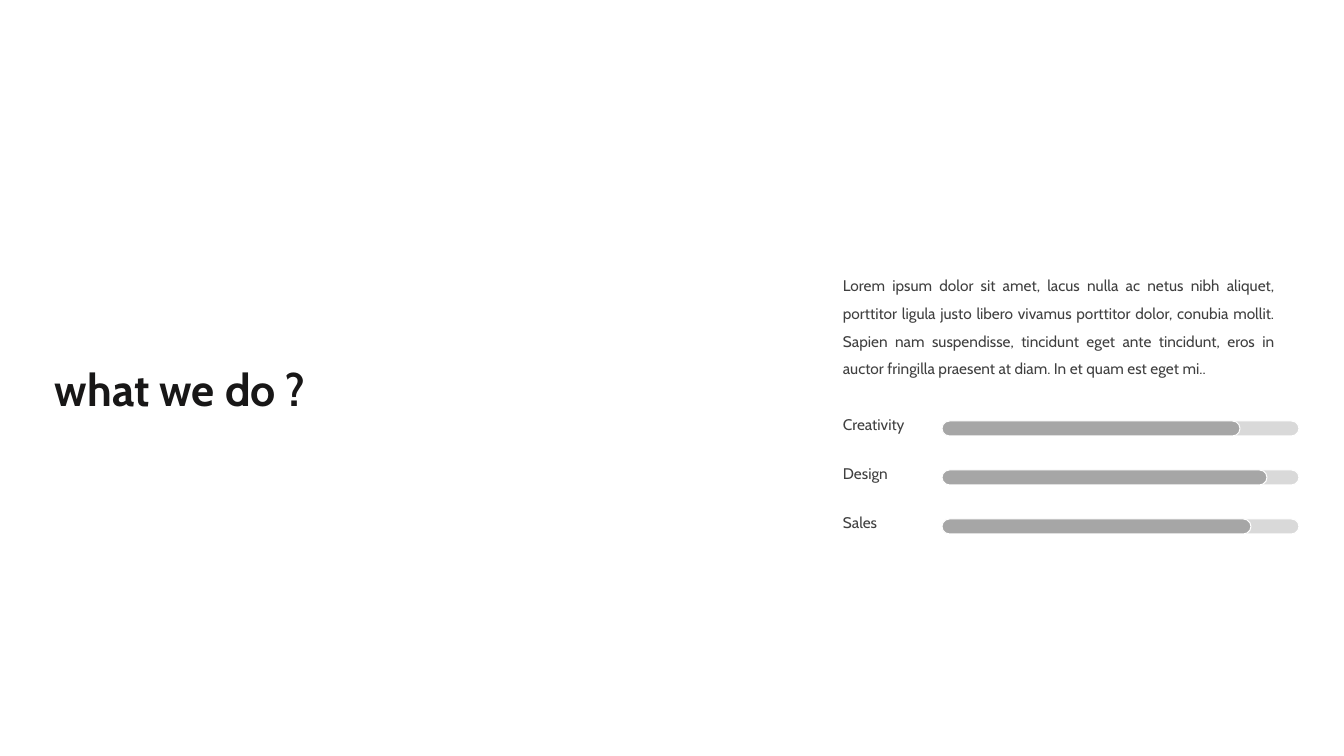
"""Build the "what we do ?" slide with a paragraph and three skill bars."""
from pptx import Presentation
from pptx.dml.color import RGBColor
from pptx.enum.shapes import MSO_SHAPE
from pptx.enum.text import PP_ALIGN
from pptx.util import Pt

TITLE = "what we do ?"
BODY = (
    "Lorem ipsum dolor sit amet, lacus nulla ac netus nibh aliquet, "
    "porttitor ligula justo libero vivamus porttitor dolor, conubia mollit. "
    "Sapien nam suspendisse, tincidunt eget ante tincidunt, eros in auctor "
    "fringilla praesent at diam. In et quam est eget mi.."
)
SKILLS = [("Creativity", 298), ("Design", 325), ("Sales", 309)]

FONT = "Cabin"
INK = RGBColor(0x18, 0x17, 0x17)
GRAY = RGBColor(0x40, 0x40, 0x40)
TRACK = RGBColor(0xD9, 0xD9, 0xD9)
FILL = RGBColor(0xA6, 0xA6, 0xA6)
WHITE = RGBColor(0xFF, 0xFF, 0xFF)

EMU_PER_PX = 914400 / 100.8
TEXT_X, BAR_X = 833, 942
LABEL_Y, BAR_Y, ROW_STEP = 410, 421, 49
BAR_W, BAR_H = 357, 15


def px(*values):
    return [round(v * EMU_PER_PX) for v in values]


def add_text(s, box, text, size, color, bold=False):
    tf = s.shapes.add_textbox(*px(*box)).text_frame
    tf.word_wrap = True
    p = tf.paragraphs[0]
    p.text = text
    p.font.name, p.font.size, p.font.bold = FONT, Pt(size), bold
    p.font.color.rgb = color
    return p


def add_bar(s, y, width, color):
    sp = s.shapes.add_shape(MSO_SHAPE.ROUNDED_RECTANGLE, *px(BAR_X, y, width, BAR_H))
    sp.adjustments[0] = 0.5
    sp.shadow.inherit = False
    sp.fill.solid()
    sp.fill.fore_color.rgb = color
    sp.line.color.rgb = WHITE
    sp.line.width = Pt(0.75)


prs = Presentation()
prs.slide_width, prs.slide_height = px(1344, 756)
s = prs.slides.add_slide(prs.slide_layouts[6])

add_text(s, (45, 357, 410, 65), TITLE, 32, INK, bold=True)
p = add_text(s, (TEXT_X, 262, 452, 119), BODY, 11, GRAY)
p.alignment = PP_ALIGN.JUSTIFY
p.line_spacing = 1.5

for i, (skill, level) in enumerate(SKILLS):
    offset = i * ROW_STEP
    p = add_text(s, (TEXT_X, LABEL_Y + offset, 155, 43), skill, 11, GRAY)
    p.alignment = PP_ALIGN.JUSTIFY
    p.line_spacing, p.space_before, p.space_after = Pt(13), Pt(10), Pt(12)
    for width, color in ((BAR_W, TRACK), (level, FILL)):
        add_bar(s, BAR_Y + offset, width, color)

prs.save("out.pptx")
